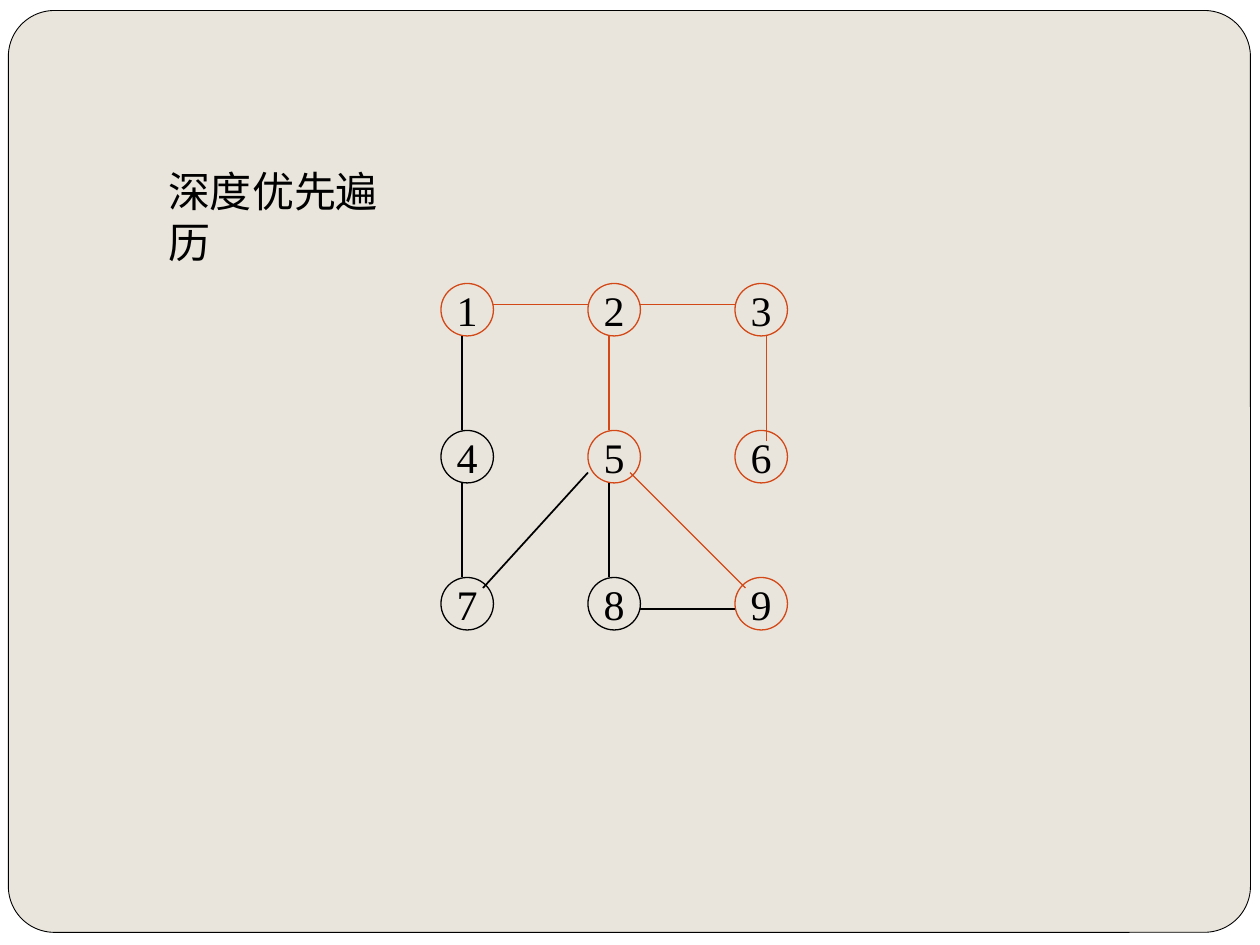
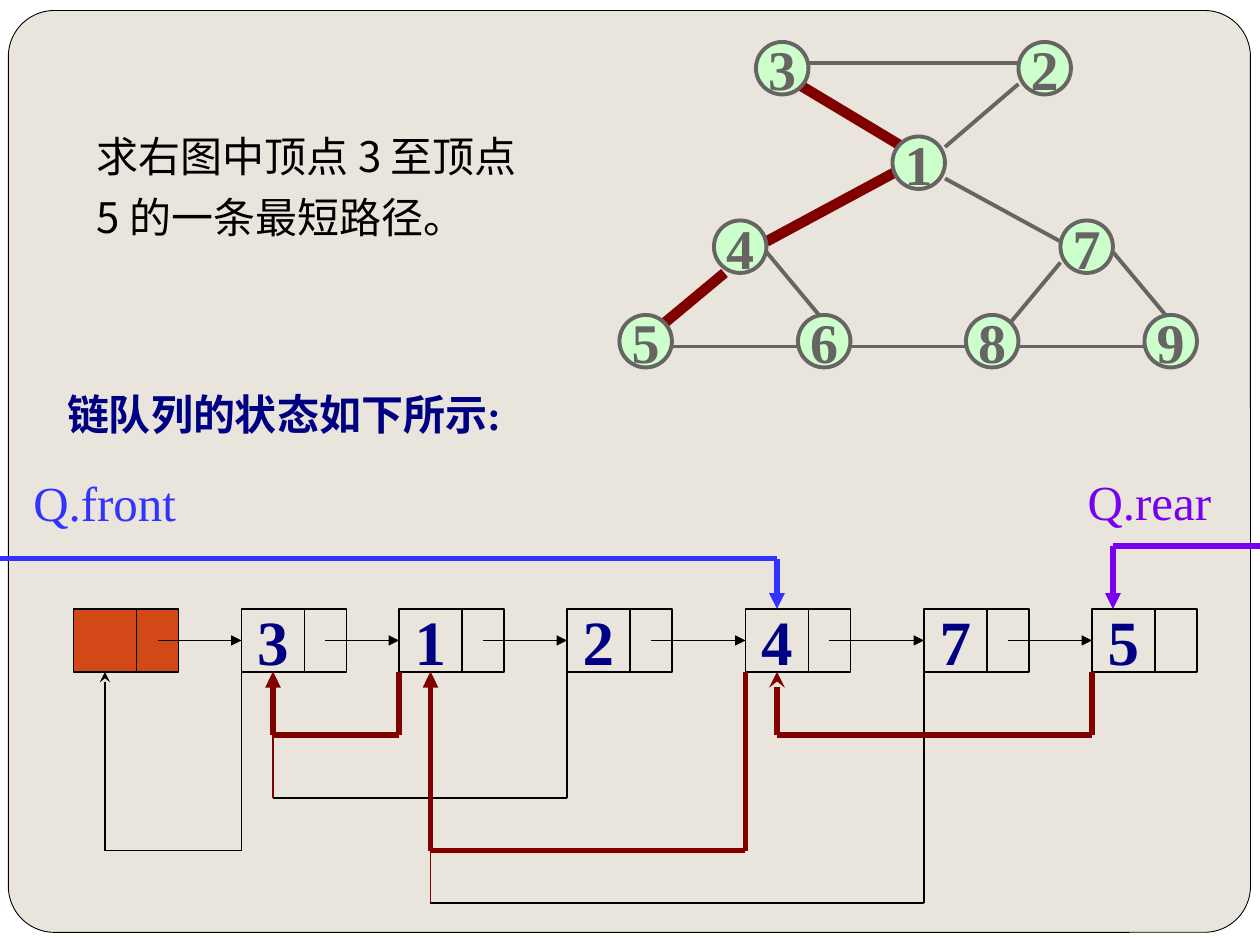
import pptx
import pptx.util
import pptx.dml.color
import pptx.enum.shapes
import pptx.enum.text
import pptx.oxml.ns
from lxml import etree

# Shared look: 120 px to the inch
SCALE = 7620
WIDE, HIGH = 1200, 900
ROMAN, HAN = "Times New Roman", "Noto Sans CJK SC"
BLACK, WHITE, PAPER = "000000", "FFFFFF", "E9E5DC"
RUST, RED, NAVY = "D34817", "800000", "000082"
BLUE, PLUM, GREY, MINT = "3333FF", "7800EE", "696464", "CCFFCC"
PANEL = (8, 10, 1183, 878)
BALL = 50

# Slide 1: depth-first walk on a 3 x 3 grid
WALK = "深度优先遍历"
GRID_X, GRID_Y, STEP = 420, 270, 140
SEEN = {1, 2, 3, 5, 6, 9}
WALK_EDGES = [
    (470, 290, 560, 290, RUST, 0.75), (610, 290, 700, 290, RUST, 0.75),
    (730, 320, 730, 420, RUST, 0.75), (600, 450, 710, 560, RUST, 0.75),
    (580, 320, 580, 410, RUST, 0.75), (440, 320, 440, 410, BLACK, 0.75),
    (440, 460, 440, 550, BLACK, 0.75), (580, 460, 580, 550, BLACK, 0.75),
    (610, 580, 700, 580, BLACK, 0.75), (560, 450, 460, 560, BLACK, 1),
]

# Slide 2: shortest path and the linked queue
ASK = "求右图中顶点 3 至顶点 5 的一条最短路径。"
STATE = "链队列的状态如下所示:"
NODES = {3: (720, 40), 2: (970, 40), 1: (850, 130), 4: (680, 210),
         7: (1010, 210), 5: (590, 300), 6: (760, 300), 8: (920, 300),
         9: (1090, 300)}
EDGES = [(770, 60, 970, 60), (970, 80, 900, 140), (900, 170, 1010, 230),
         (1010, 250, 960, 310), (1060, 240, 1110, 300), (640, 330, 770, 330),
         (810, 330, 920, 330), (970, 330, 1090, 330), (730, 240, 780, 300)]
SHORT = [(760, 80, 860, 140), (860, 160, 730, 230), (690, 260, 630, 310)]
QUEUE = [("", 70), ("3", 230), ("1", 380), ("2", 540),
         ("4", 710), ("7", 880), ("5", 1040)]
CELL_Y, CELL_H, DATA_W, NEXT_W = 580, 60, 60, 40
# from cell, to cell, depth, line colour, last leg colour, width, head
BACK = [
    (5, 2, 860, BLACK, RED, 1, "stealth"),
    (3, 1, 760, BLACK, RED, 1, "stealth"),
    (1, 0, 810, BLACK, BLACK, 1, "stealth"),
    (6, 4, 700, RED, RED, 3, "stealth"),
    (2, 1, 700, RED, RED, 3, "triangle"),
    (4, 2, 810, RED, RED, 3, "triangle"),
]
FRONT = [(0, 532), (740, 532), (740, 580)]
REAR = [(1200, 520), (1060, 520), (1060, 580)]

SHAPE = pptx.enum.shapes.MSO_SHAPE
ALIGN = pptx.enum.text.PP_ALIGN
ANCHOR = pptx.enum.text.MSO_ANCHOR


def px(*nums):
    return [pptx.util.Emu(num * SCALE) for num in nums]


def tint(code):
    return pptx.dml.color.RGBColor.from_string(code)


def write(shape, text, size=24, color=BLACK, font=ROMAN, bold=False,
          align=ALIGN.LEFT, anchor=ANCHOR.TOP, wrap=False, space=1.0, inset=True):
    frame = shape.text_frame
    frame.auto_size = pptx.enum.text.MSO_AUTO_SIZE.NONE
    frame.word_wrap, frame.vertical_anchor = wrap, anchor
    side, top = px(12, 6) if inset else px(0, 0)
    frame.margin_left = frame.margin_right = side
    frame.margin_top = frame.margin_bottom = top
    para = frame.paragraphs[0]
    para.alignment, para.line_spacing = align, space
    para.space_before = pptx.util.Pt(0)
    run = para.add_run()
    run.text = text
    run.font.size, run.font.bold = pptx.util.Pt(size), bold
    run.font.name, run.font.color.rgb = font, tint(color)
    east = etree.SubElement(run.font._element, pptx.oxml.ns.qn("a:ea"))
    east.set("typeface", HAN)


def label(slide, box, text, **form):
    write(slide.shapes.add_textbox(*px(*box)), text, **form)


def block(slide, kind, box, fill=None, line=BLACK, width=1):
    shape = slide.shapes.add_shape(kind, *px(*box))
    shape.shadow.inherit = False
    if fill:
        shape.fill.solid()
        shape.fill.fore_color.rgb = tint(fill)
    else:
        shape.fill.background()
    shape.line.color.rgb = tint(line)
    shape.line.width = pptx.util.Pt(width)
    return shape


def ball(slide, num, x, y, line, **form):
    fill, width = form.pop("fill", None), form.pop("width", 0.75)
    shape = block(slide, SHAPE.OVAL, (x, y, BALL, BALL), fill, line, width)
    write(shape, str(num), align=ALIGN.CENTER, anchor=ANCHOR.MIDDLE,
          inset=False, **form)


def link(slide, x1, y1, x2, y2, color=BLACK, width=1, head=None, goal=None):
    """Draw a line; goal is the (shape, side) that it ends on."""
    line = slide.shapes.add_connector(
        pptx.enum.shapes.MSO_CONNECTOR.STRAIGHT, *px(x1, y1, x2, y2))
    line.line.color.rgb = tint(color)
    line.line.width = pptx.util.Pt(width)
    qn = pptx.oxml.ns.qn
    if head:
        tail = etree.SubElement(line.line._get_or_add_ln(), qn("a:tailEnd"))
        tail.set("type", head)
    etree.SubElement(line._element.spPr, qn("a:effectLst"))
    if goal:
        line.end_connect(*goal)


def route(slide, spots, color, last, width, head, goal=None):
    for start, stop in zip(spots, spots[1:-1]):
        link(slide, *start, *stop, color, width)
    link(slide, *spots[-2], *spots[-1], last, width, head, goal)


def title(slide, box, text, **form):
    shape = slide.shapes.title
    shape.left, shape.top, shape.width, shape.height = px(*box)
    write(shape, text, **form)


def panel(slide):
    """Place the rounded panel on the layout, behind every slide."""
    shape = block(slide, SHAPE.ROUNDED_RECTANGLE, PANEL, PAPER, BLACK, 0.5)
    shape.adjustments[0] = 0.05
    slide.slide_layout.shapes._spTree.insert(2, shape._element)


def walk(slide):
    title(slide, (148, 152, 264, 60), WALK)
    for num in range(1, 10):
        row, col = divmod(num - 1, 3)
        ball(slide, num, GRID_X + col * STEP, GRID_Y + row * STEP,
             RUST if num in SEEN else BLACK)
    for edge in WALK_EDGES:
        link(slide, *edge)


def graph(slide):
    for edge in EDGES:
        link(slide, *edge, GREY, 2.25)
    for edge in SHORT:
        link(slide, *edge, RED, 6)
    for num, (x, y) in NODES.items():
        ball(slide, num, x, y, GREY, fill=MINT, width=2.25,
             size=32, color=GREY, bold=True)


def queue(slide):
    # Cells, each with a data part and a next part
    cells = []
    for text, x in QUEUE:
        fill = None if text else RUST
        data = block(slide, SHAPE.RECTANGLE, (x, CELL_Y, DATA_W, CELL_H), fill)
        block(slide, SHAPE.RECTANGLE, (x + DATA_W, CELL_Y, NEXT_W, CELL_H), fill)
        if text:
            write(data, text, size=36, color=NAVY, bold=True, inset=False,
                  align=ALIGN.CENTER, anchor=ANCHOR.MIDDLE)
        cells.append(data)

    # Next arrows
    lefts = [x for _, x in QUEUE]
    mid, base = CELL_Y + CELL_H // 2, CELL_Y + CELL_H
    for x, stop, cell in zip(lefts, lefts[1:], cells[1:]):
        link(slide, x + DATA_W + NEXT_W // 2, mid, stop, mid,
             head="triangle", goal=(cell, 1))

    # Arrows back to the parent vertex
    for start, stop, depth, color, last, width, head in BACK:
        x1, x2 = lefts[start], lefts[stop] + DATA_W // 2
        spots = [(x1, base), (x1, depth), (x2, depth), (x2, base)]
        route(slide, spots, color, last, width, head, (cells[stop], 2))

    # Queue pointers
    route(slide, FRONT, BLUE, BLUE, 3, "triangle", (cells[4], 0))
    route(slide, REAR, PLUM, PLUM, 3, "triangle")
    label(slide, (20, 444, 161, 68), "Q.front", size=28, color=BLUE)
    label(slide, (1024, 443, 142, 68), "Q.rear", size=28, color=PLUM)


def main():
    deck = pptx.Presentation()
    deck.slide_width, deck.slide_height = px(WIDE, HIGH)
    plain = deck.slide_layouts[5]
    first, second = [deck.slides.add_slide(plain) for _ in range(2)]
    panel(first)
    walk(first)
    title(second, (80, 109, 444, 185), ASK, font=HAN, wrap=True, space=1.2)
    label(second, (52, 355, 440, 70), STATE, color=NAVY, bold=True,
          wrap=True, space=1.2)
    graph(second)
    queue(second)
    deck.save("out.pptx")


if __name__ == "__main__":
    main()
